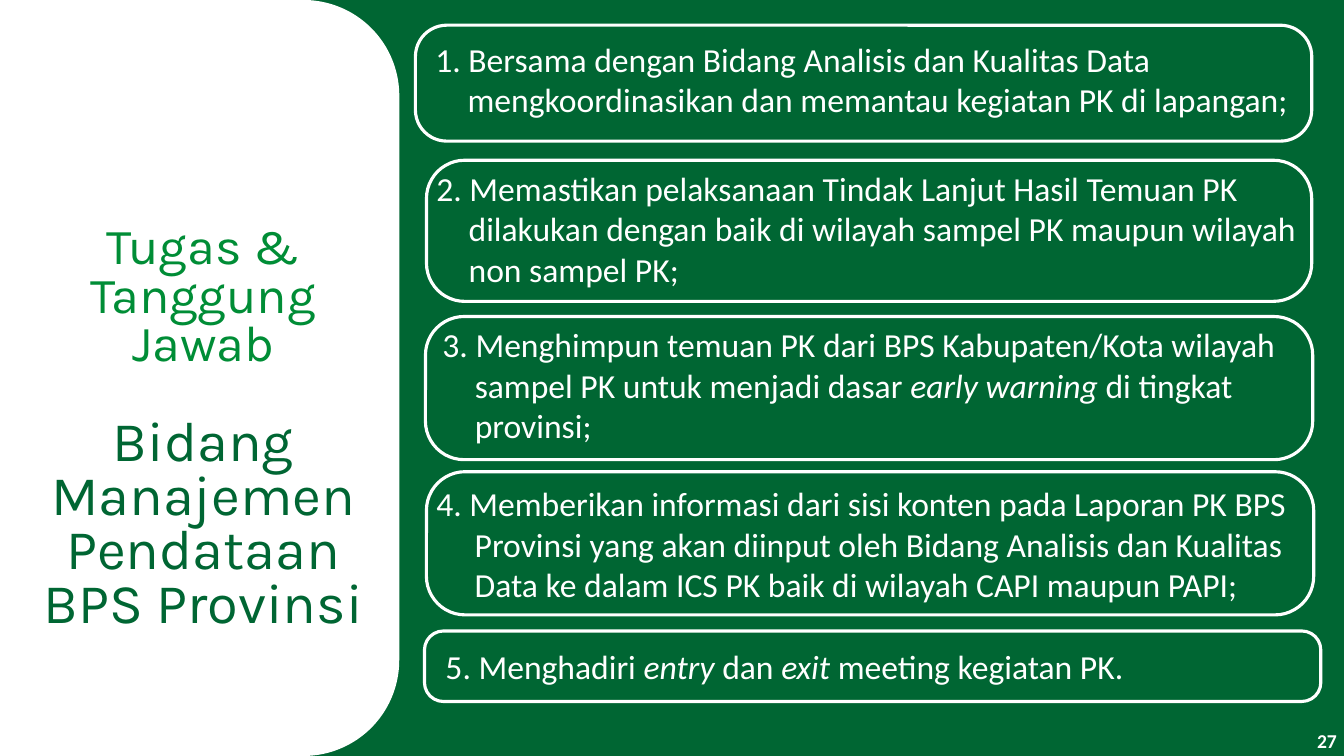
from pptx import Presentation
from pptx.dml.color import RGBColor
from pptx.enum.shapes import MSO_SHAPE
from pptx.enum.text import MSO_ANCHOR, PP_ALIGN
from pptx.util import Pt

SCALE = 9144
WHITE, GREEN, LEAF = "FFFFFF", "006633", "008D36"


def px(n):
    return n * SCALE


def color(code):
    return RGBColor.from_string(code)


def write(para, text, font="Calibri", size=24, ink=WHITE, bold=False,
          align=PP_ALIGN.LEFT, hang=0, space=None, before=0):
    para.alignment = align
    para.line_spacing = space
    para.space_before = Pt(before)
    if hang:
        props = para._p.get_or_add_pPr()
        props.set("marL", str(px(hang)))
        props.set("indent", str(-px(hang)))
    for i, part in enumerate(text.split("*")):
        run = para.add_run()
        run.text = part
        run.font.name = font
        run.font.size = Pt(size)
        run.font.color.rgb = color(ink)
        run.font.bold = bold
        run.font.italic = i % 2 == 1


class Deck:
    def __init__(self, wide, high, back):
        self.file = Presentation()
        self.file.slide_width = px(wide)
        self.file.slide_height = px(high)
        self.slide = self.file.slides.add_slide(self.file.slide_layouts[6])
        fill = self.slide.background.fill
        fill.solid()
        fill.fore_color.rgb = color(back)

    def shape(self, kind, area, curve, fill=None, line=None, turn=0):
        item = self.slide.shapes.add_shape(kind, *map(px, area))
        item.shadow.inherit = False
        item.adjustments[0] = curve
        item.rotation = turn
        if fill:
            item.fill.solid()
            item.fill.fore_color.rgb = color(fill)
        else:
            item.fill.background()
        if line:
            item.line.color.rgb = color(line)
            item.line.width = Pt(2.25)
        else:
            item.line.fill.background()

    def text(self, area, *paras, pad=10, **style):
        frame = self.slide.shapes.add_textbox(*map(px, area)).text_frame
        frame.word_wrap = True
        frame.vertical_anchor = MSO_ANCHOR.MIDDLE
        frame.margin_left = frame.margin_right = px(pad)
        for i, (words, more) in enumerate(paras):
            para = frame.add_paragraph() if i else frame.paragraphs[0]
            write(para, words, **{**style, **more})


TASKS = [
    ((412, 25, 889, 115), (422, 27, 866, 103), 32,
     "Bersama dengan Bidang Analisis dan Kualitas Data mengkoordinasikan "
     "dan memantau kegiatan PK di lapangan;"),
    ((423, 159, 878, 140), (423, 174, 873, 105), 32,
     "Memastikan pelaksanaan Tindak Lanjut Hasil Temuan PK dilakukan dengan "
     "baik di wilayah sampel PK maupun wilayah non sampel PK;"),
    ((422, 314, 880, 142), (429, 329, 855, 105), 32,
     "Menghimpun temuan PK dari BPS Kabupaten/Kota wilayah sampel PK untuk "
     "menjadi dasar *early warning* di tingkat provinsi;"),
    ((423, 468, 880, 142), (423, 487, 870, 105), 38,
     "Memberikan informasi dari sisi konten pada Laporan PK BPS Provinsi yang "
     "akan diinput oleh Bidang Analisis dan Kualitas Data ke dalam ICS PK "
     "baik di wilayah CAPI maupun PAPI;"),
    ((421, 626, 889, 70), (432, 636, 845, 49), 0,
     "Menghadiri *entry* dan *exit* meeting kegiatan PK."),
]


def main():
    deck = Deck(1333, 750, GREEN)
    deck.shape(MSO_SHAPE.ROUND_2_SAME_RECTANGLE, (-177, 177, 750, 396), 0.24,
               fill=WHITE, turn=90)
    deck.text((33, 224, 337, 405),
              ("Tugas & Tanggung Jawab", {"size": 36, "ink": LEAF}),
              ("Bidang Manajemen Pendataan", {"before": 34}),
              ("BPS Provinsi", {}),
              font="Karla", size=40, ink=GREEN, align=PP_ALIGN.CENTER,
              space=0.8)
    for i, (frame, area, hang, words) in enumerate(TASKS, 1):
        deck.shape(MSO_SHAPE.ROUNDED_RECTANGLE, frame, 0.27, line=WHITE)
        deck.text(area, (f"{i}. {words}", {"hang": hang}))
    deck.text((1280, 720, 46, 30), ("27", {}), pad=0, size=14, bold=True,
              align=PP_ALIGN.RIGHT)
    deck.file.save("out.pptx")


if __name__ == "__main__":
    main()
